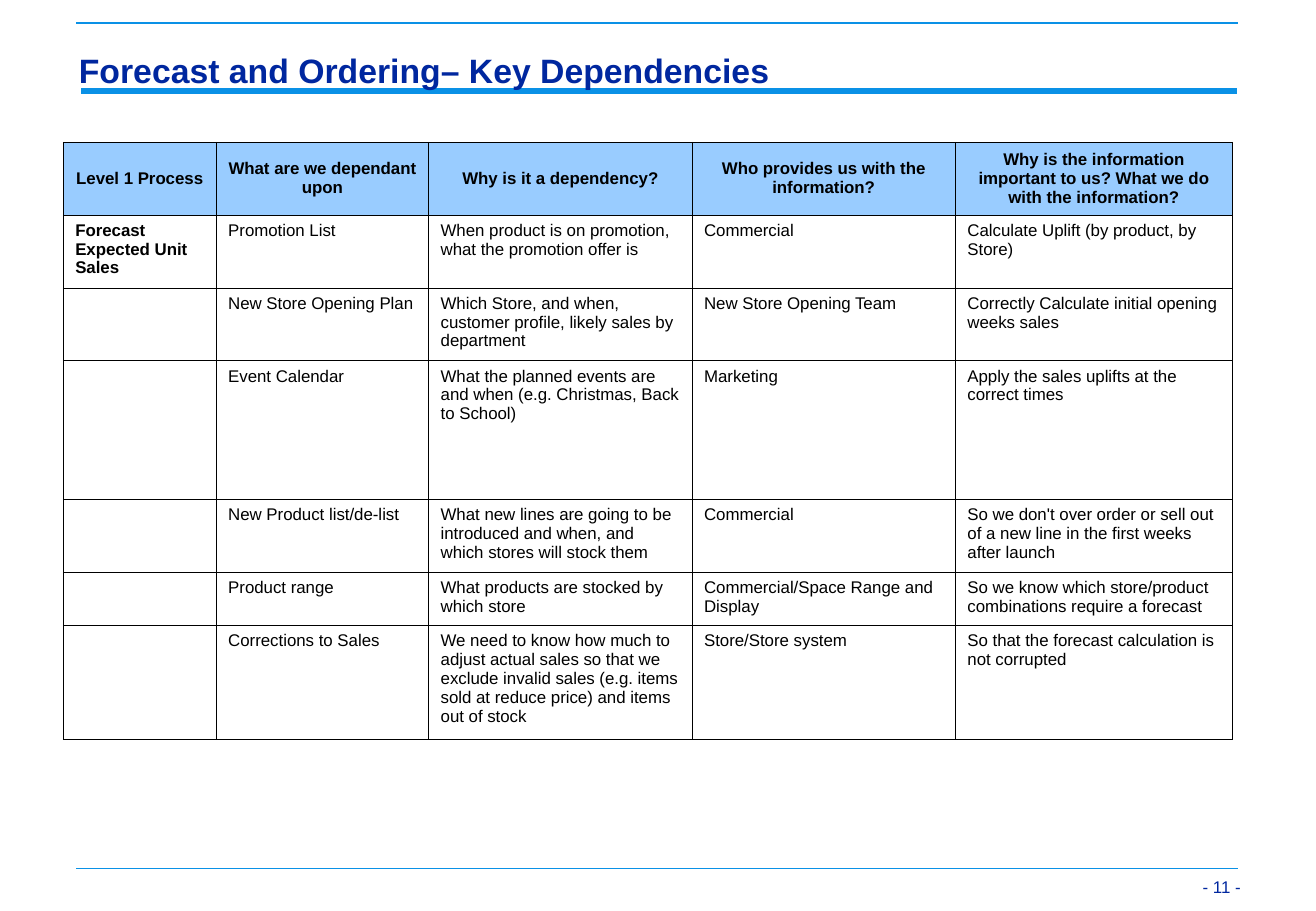
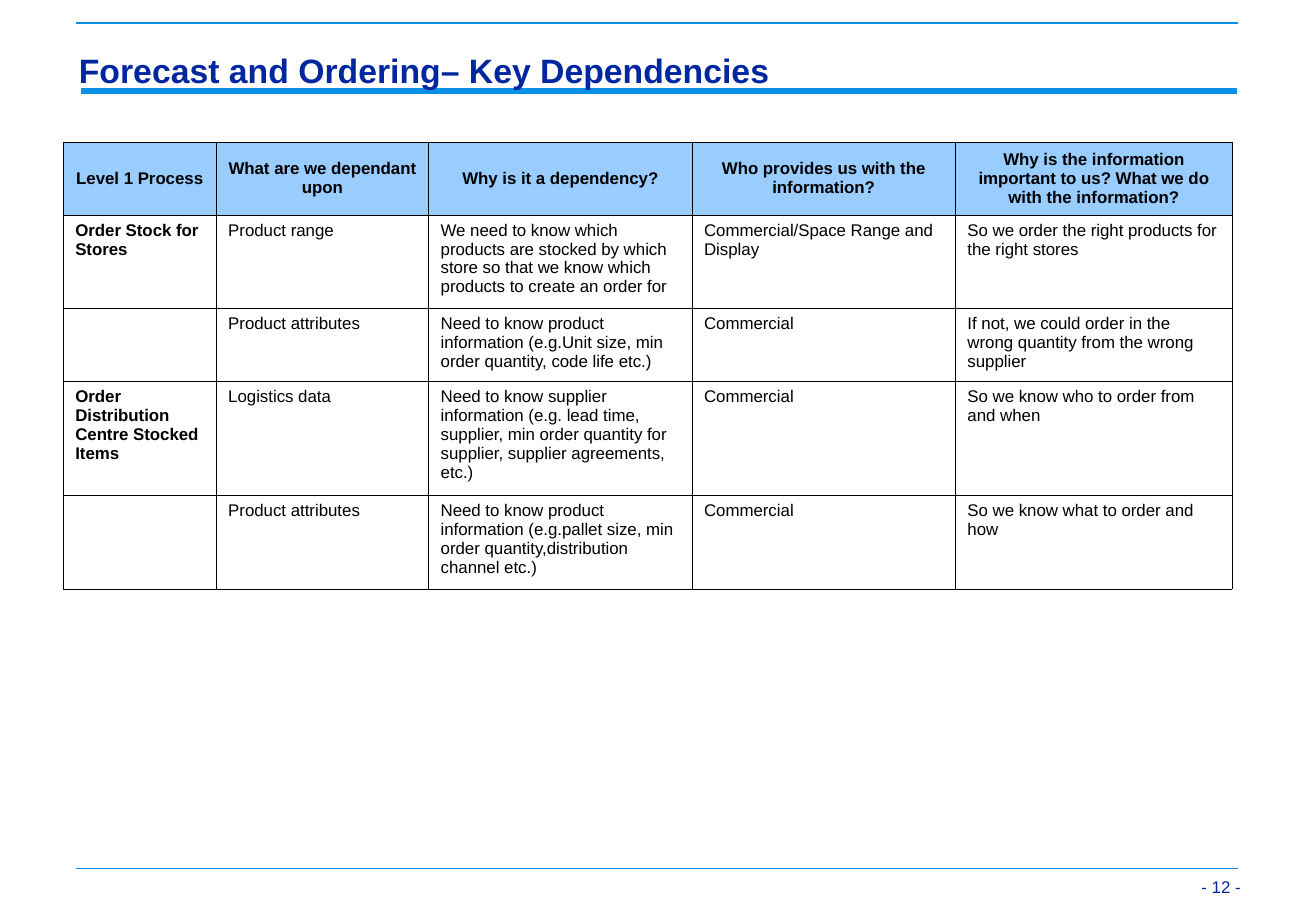
from lxml import etree
from pptx import Presentation
from pptx.dml.color import RGBColor
from pptx.enum.shapes import MSO_CONNECTOR
from pptx.enum.text import MSO_ANCHOR, MSO_AUTO_SIZE, PP_ALIGN
from pptx.oxml.ns import qn
from pptx.util import Inches, Pt

COLORS = {"navy": "00279F", "blue": "0A91E6", "head": "99CCFF", "ink": "000000"}
FONT = "Arial"
TITLE = "Forecast and Ordering– Key Dependencies"
FIRST = 11
RULES = [(0.67, 10.19, 0.75, 4), (0.63, 10.2, 0.19, 1), (0.63, 10.2, 7.15, 1)]
WIDTHS = [1.26, 1.75, 2.17, 2.17, 2.28]
HEAD = ["Level 1 Process", "What are we dependant upon", "Why is it a dependency?",
        "Who provides us with the information?",
        "Why is the information important to us? What we do with the information?"]

# Each row: height, then one text for each column.
SALES = [
    (0.6, "Forecast Expected Unit Sales", "Promotion List",
     "When product is on promotion, what the promotion offer is",
     "Commercial", "Calculate Uplift (by product, by Store)"),
    (0.6, "", "New Store Opening Plan",
     "Which Store, and when, customer profile, likely sales by department",
     "New Store Opening Team", "Correctly Calculate initial opening weeks sales"),
    (1.14, "", "Event Calendar",
     "What the planned events are and when (e.g. Christmas, Back to School)",
     "Marketing", "Apply the sales uplifts at the correct times"),
    (0.6, "", "New Product list/de-list",
     "What new lines are going to be introduced and when, and which stores will stock them",
     "Commercial",
     "So we don't over order or sell out of a new line in the first weeks after launch"),
    (0.44, "", "Product range", "What products are stocked by which store",
     "Commercial/Space Range and Display",
     "So we know which store/product combinations require a forecast"),
    (0.94, "", "Corrections to Sales",
     "We need to know how much to adjust actual sales so that we exclude invalid sales "
     "(e.g. items sold at reduce price) and items out of stock",
     "Store/Store system", "So that the forecast calculation is not corrupted"),
]
ORDERS = [
    (0.77, "Order Stock for Stores", "Product range",
     "We need to know which products are stocked by which store so that we know which "
     "products to create an order for",
     "Commercial/Space Range and Display",
     "So we order the right products for the right stores"),
    (0.6, "", "Product attributes",
     "Need to know product information (e.g.Unit size, min order quantity, code life etc.)",
     "Commercial", "If not, we could order in the wrong quantity from the wrong supplier"),
    (0.94, "Order Distribution Centre Stocked Items", "Logistics data",
     "Need to know supplier information (e.g. lead time, supplier, min order quantity for "
     "supplier, supplier agreements, etc.)",
     "Commercial", "So we know who to order from and when"),
    (0.77, "", "Product attributes",
     "Need to know product information (e.g.pallet size, min order quantity,distribution "
     "channel etc.)",
     "Commercial", "So we know what to order and how"),
]


def color(name):
    return RGBColor.from_string(COLORS[name])


def write(frame, text, size=10, ink="ink", bold=False, align=PP_ALIGN.LEFT):
    frame.word_wrap = True
    para = frame.paragraphs[0]
    para.text = text
    para.alignment = align
    font = para.font
    if para.runs:
        font = para.runs[0].font
    font.name, font.size, font.bold = FONT, Pt(size), bold
    font.color.rgb = color(ink)


def place(shape, left, top, width, height):
    """Set the box of a text shape, its insets and its bottom anchor."""
    shape.left, shape.top = Inches(left), Inches(top)
    shape.width, shape.height = Inches(width), Inches(height)
    frame = shape.text_frame
    frame.auto_size = MSO_AUTO_SIZE.NONE
    frame.vertical_anchor = MSO_ANCHOR.BOTTOM
    frame.margin_left = frame.margin_right = Inches(0.07)
    frame.margin_top = frame.margin_bottom = Inches(0.03)
    return frame


def add_rule(slide, left, right, y, weight):
    rule = slide.shapes.add_connector(MSO_CONNECTOR.STRAIGHT, Inches(left), Inches(y),
                                      Inches(right), Inches(y))
    rule.line.color.rgb = color("blue")
    rule.line.width = Pt(weight)
    etree.SubElement(rule._element.spPr, qn("a:effectLst"))


def add_frame(slide, number):
    """Draw what all slides share: rules, page number and title."""
    for rule in RULES:
        add_rule(slide, *rule)
    page = slide.shapes.add_textbox(0, 0, 0, 0)
    write(place(page, 9.69, 7.02, 0.6, 0.39), f"- {number} -", ink="navy",
          align=PP_ALIGN.RIGHT)
    title = slide.shapes.title
    write(place(title, 0.58, 0.33, 9.63, 0.44), TITLE, size=20, ink="navy", bold=True)
    # Bring the title in front of the rule below it.
    slide.shapes._spTree.append(title._element)


def add_edges(cell):
    props = cell._tc.get_or_add_tcPr()
    for side in ("lnL", "lnR", "lnT", "lnB"):
        edge = etree.SubElement(props, qn(f"a:{side}"), w=str(Pt(0.45)))
        fill = etree.SubElement(edge, qn("a:solidFill"))
        etree.SubElement(fill, qn("a:srgbClr"), val=COLORS["ink"])


def add_grid(slide, rows):
    rows = [(0.6, *HEAD), *rows]
    height = sum(row[0] for row in rows)
    table = slide.shapes.add_table(len(rows), len(WIDTHS), Inches(0.52), Inches(1.17),
                                   Inches(sum(WIDTHS)), Inches(height)).table
    table.first_row = table.horz_banding = False
    for column, width in zip(table.columns, WIDTHS):
        column.width = Inches(width)
    for r, (tall, *texts) in enumerate(rows):
        table.rows[r].height = Inches(tall)
        head = r == 0
        for c, text in enumerate(texts):
            cell = table.cell(r, c)
            add_edges(cell)
            if head:
                cell.fill.solid()
                cell.fill.fore_color.rgb = color("head")
                cell.vertical_anchor = MSO_ANCHOR.MIDDLE
            else:
                cell.fill.background()
            write(cell.text_frame, text, bold=head or c == 0,
                  align=PP_ALIGN.CENTER if head else PP_ALIGN.LEFT)


def main():
    deck = Presentation()
    deck.slide_width, deck.slide_height = Inches(10.84), Inches(7.5)
    for number, rows in enumerate((SALES, ORDERS), FIRST):
        slide = deck.slides.add_slide(deck.slide_layouts[5])
        add_frame(slide, number)
        add_grid(slide, rows)
    deck.save("out.pptx")


if __name__ == "__main__":
    main()
